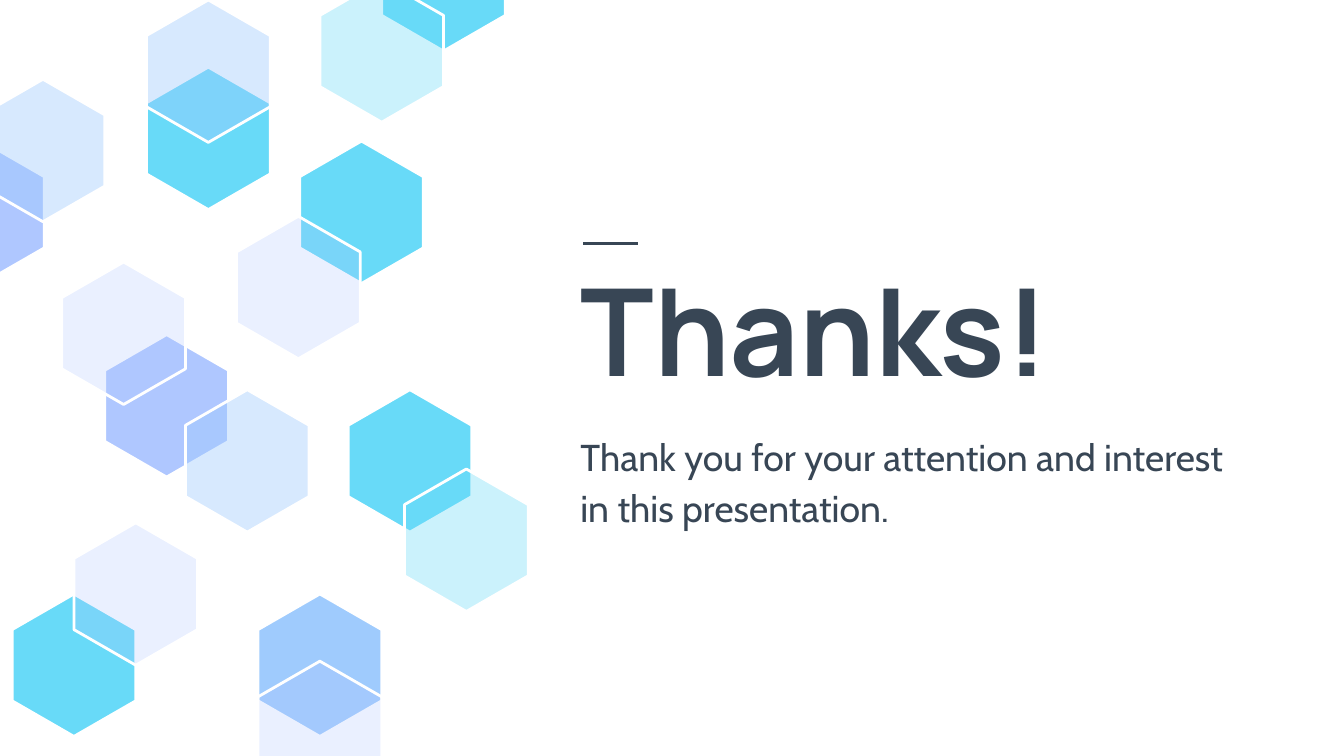
import pptx
import pptx.dml.color
import pptx.enum.shapes
import pptx.enum.text
import pptx.oxml
import pptx.oxml.ns
import pptx.util

In, Pt = pptx.util.Inches, pptx.util.Pt
RGB = pptx.dml.color.RGBColor.from_string

# Content
TITLE = "Thanks!"
MESSAGE = "Thank you for your attention and interest in this presentation."

# Hexagons from back to front: left, top, tint
HEXAGONS = [
    (0.09, 4.42, "cyan"), (1.09, 0.5, "cyan"), (2.23, 1.05, "cyan"),
    (-0.59, 1.05, "violet"), (1.09, 0, "pale blue"), (0.78, 2.49, "violet"),
    (0.46, 1.95, "pale violet"), (1.76, 1.61, "pale violet"),
    (2.84, -0.68, "cyan"), (1.38, 2.9, "pale blue"), (2.38, -0.15, "pale cyan"),
    (1.92, 4.42, "blue"), (2.59, 2.9, "cyan"), (0.55, 3.89, "pale violet"),
    (1.92, 4.92, "pale violet"), (-0.14, 0.59, "pale blue"),
    (3.01, 3.49, "pale cyan"),
]

THEME = {
    "ink": "384655",
    "paper": "FFFFFF",
    "line": 1.5,
    "title": {"name": "Manrope", "size": Pt(65), "bold": True},
    "message": {"name": "Cabin", "size": Pt(20), "bold": False},
    # colour and opacity in percent
    "tints": {
        "cyan": ("68DAF8", 100), "pale cyan": ("68DAF8", 34),
        "blue": ("9FCBFD", 100), "pale blue": ("9FCBFD", 41),
        "violet": ("AFC7FF", 100), "pale violet": ("AFC7FF", 25),
    },
}

# Layout in inches, on a 16:9 slide
SLIDE_W = 10
SLIDE_H = SLIDE_W * 9 / 16
TEXT_X, TEXT_W, INSET = 4.22, 5, 0.1
TITLE_Y, TITLE_H, MESSAGE_H = 1.81, 1.27, 1.06
RULE_X, RULE_W = 4.34, 0.41
HEX_W, HEX_H = 0.92, 1.06
# Corners as shares of the hexagon's width and height
HEX_CORNERS = [(0.5, 0), (1, 0.25), (1, 0.75), (0.5, 1), (0, 0.75), (0, 0.25)]


def set_line(line, color):
    line.color.rgb = RGB(color)
    line.width = Pt(THEME["line"])


def add_hexagon(shapes, left, top, tint):
    points = [(In(left + x * HEX_W), In(top + y * HEX_H)) for x, y in HEX_CORNERS]
    builder = shapes.build_freeform(*points[0])
    builder.add_line_segments(points[1:], close=True)
    sp = builder.convert_to_shape()
    sp.shadow.inherit = False
    color, opacity = THEME["tints"][tint]
    sp.fill.solid()
    sp.fill.fore_color.rgb = RGB(color)
    set_line(sp.line, THEME["paper"])
    if opacity < 100:
        clr = sp._element.spPr.find(
            pptx.oxml.ns.qn("a:solidFill") + "/" + pptx.oxml.ns.qn("a:srgbClr"))
        clr.append(pptx.oxml.parse_xml(
            f'<a:alpha {pptx.oxml.ns.nsdecls("a")} val="{opacity * 1000}"/>'))


def set_text(sp, text, style, top, height, anchor, spacing):
    sp.left, sp.top, sp.width, sp.height = map(In, (TEXT_X, top, TEXT_W, height))
    tf = sp.text_frame
    frame = {"word_wrap": True, "vertical_anchor": anchor,
             "auto_size": pptx.enum.text.MSO_AUTO_SIZE.NONE}
    for side in ("left", "top", "right", "bottom"):
        frame["margin_" + side] = In(INSET)
    for name, value in frame.items():
        setattr(tf, name, value)
    p = tf.paragraphs[0]
    p.alignment = pptx.enum.text.PP_ALIGN.LEFT
    p.line_spacing = spacing
    r = p.add_run()
    r.text = text
    for name, value in THEME[style].items():
        setattr(r.font, name, value)
    r.font.color.rgb = RGB(THEME["ink"])


def main():
    prs = pptx.Presentation()
    prs.slide_width, prs.slide_height = In(SLIDE_W), In(SLIDE_H)
    s = prs.slides.add_slide(prs.slide_layouts[5])
    s.background.fill.solid()
    s.background.fill.fore_color.rgb = RGB(THEME["paper"])

    # Title and message
    anchors = pptx.enum.text.MSO_ANCHOR
    set_text(s.shapes.title, TITLE, "title", TITLE_Y, TITLE_H, anchors.BOTTOM, 1.0)
    box = s.shapes.add_textbox(0, 0, 0, 0)
    set_text(box, MESSAGE, "message", TITLE_Y + TITLE_H, MESSAGE_H, anchors.TOP, 1.15)

    # Hexagon pattern
    pattern = s.shapes.add_group_shape()
    for left, top, tint in HEXAGONS:
        add_hexagon(pattern.shapes, left, top, tint)

    # Short rule above the title
    rule = s.shapes.add_connector(
        pptx.enum.shapes.MSO_CONNECTOR.STRAIGHT,
        In(RULE_X), In(TITLE_Y), In(RULE_X + RULE_W), In(TITLE_Y))
    set_line(rule.line, THEME["ink"])
    rule._element.spPr.append(
        pptx.oxml.parse_xml(f'<a:effectLst {pptx.oxml.ns.nsdecls("a")}/>'))

    prs.save("out.pptx")


if __name__ == "__main__":
    main()
